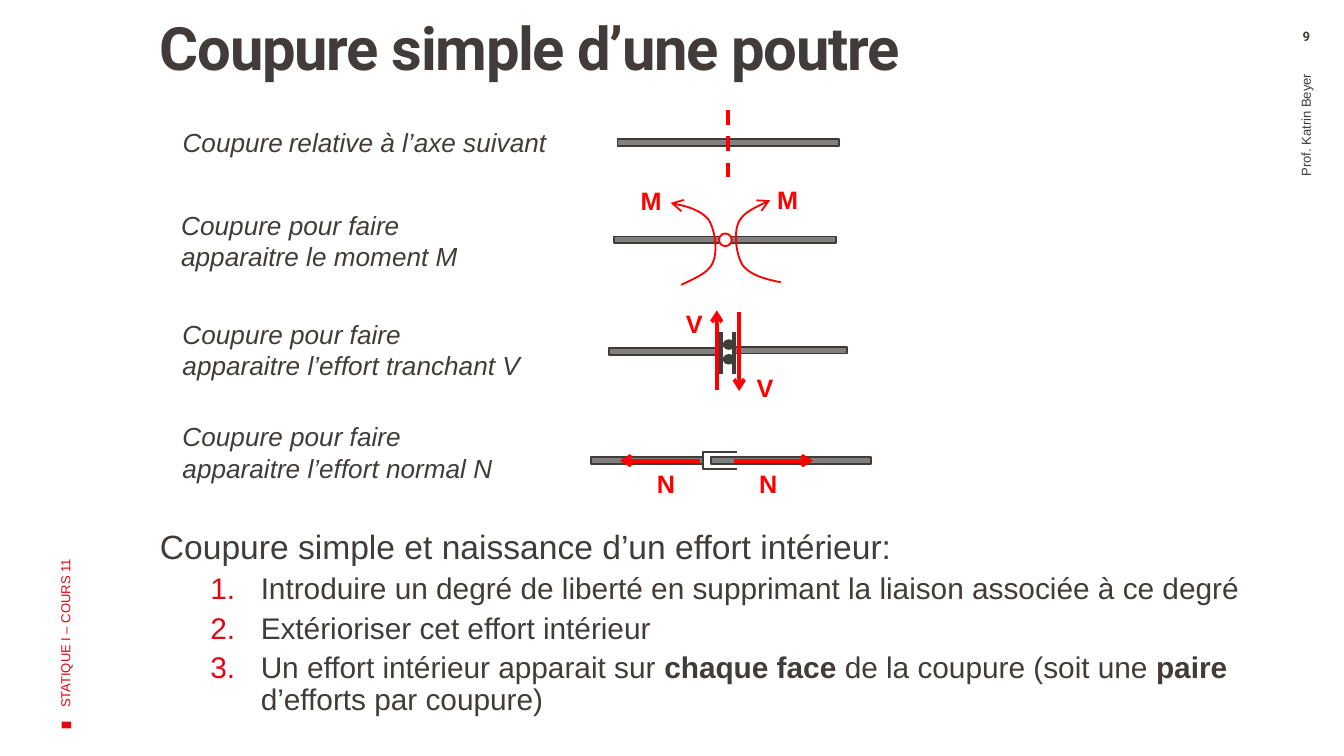
from lxml import etree
from pptx import Presentation
from pptx.dml.color import RGBColor
from pptx.enum.dml import MSO_LINE
from pptx.enum.shapes import MSO_CONNECTOR, MSO_SHAPE
from pptx.enum.text import MSO_ANCHOR, PP_ALIGN
from pptx.oxml.ns import qn
from pptx.util import Pt

DASH = MSO_LINE.DASH
STRAIGHT = MSO_CONNECTOR.STRAIGHT
RECTANGLE, OVAL = MSO_SHAPE.RECTANGLE, MSO_SHAPE.OVAL
TOP, MIDDLE = MSO_ANCHOR.TOP, MSO_ANCHOR.MIDDLE
LEFT, CENTER, RIGHT = PP_ALIGN.LEFT, PP_ALIGN.CENTER, PP_ALIGN.RIGHT

INK, GRAY, WHITE = "413C3A", "808080", "FFFFFF"
RED, BRAND_RED = "FF0000", "E30613"
BAR_HEIGHT = 3.6
INSETS = (7.2, 3.6, 7.2, 3.6)

# Start point, then control, control, end for each curve piece
MOMENT_CURVE = [(359.3, 108.7),
                (367.2, 110.2), (375.1, 112.3), (379.4, 117.4),
                (383, 122.4), (384.5, 133.9), (382.3, 139.7),
                (380.2, 146.2), (372.2, 149), (365, 152.6)]
MOMENT_SUM = (777.6, 259.9)  # each point plus its half-turn twin

STEPS = [
    [("Introduire un degré de liberté en supprimant la liaison associée à ce degré", False)],
    [("Extérioriser cet effort intérieur", False)],
    [("Un effort intérieur apparait sur ", False), ("chaque face ", True),
     ("de la coupure (soit une ", False), ("paire ", True),
     ("d’efforts par coupure)", False)],
]
LABELS = [
    (90, 108.7, "Coupure pour faire apparaitre le moment M"),
    (90.7, 167, "Coupure pour faire apparaitre l’effort tranchant V"),
    (90.7, 221.8, "Coupure pour faire apparaitre l’effort normal N"),
]


def color(value):
    return RGBColor.from_string(value)


def add_span(para, text, size, ink=INK, font="Arial", bold=False, italic=False):
    span = para.add_run()
    span.text = text
    span.font.name, span.font.size = font, Pt(size)
    span.font.bold, span.font.italic = bold, italic
    span.font.color.rgb = color(ink)
    return span


def add_box(shapes, left, top, width, height, insets=INSETS, anchor=TOP,
            align=LEFT, wrap=True, rotation=0):
    box = shapes.add_textbox(Pt(left), Pt(top), Pt(width), Pt(height))
    box.rotation = rotation
    frame = box.text_frame
    frame.word_wrap, frame.vertical_anchor = wrap, anchor
    (frame.margin_left, frame.margin_top,
     frame.margin_right, frame.margin_bottom) = map(Pt, insets)
    frame.paragraphs[0].alignment = align
    return frame


def add_force_label(shapes, left, top, letter):
    frame = add_box(shapes, left, top, 28, 28.8, anchor=MIDDLE, wrap=False)
    add_span(frame.paragraphs[0], letter, 13.5, RED, bold=True)


def add_solid(shapes, kind, left, top, width, height, fill, line=None):
    shape = shapes.add_shape(kind, Pt(left), Pt(top), Pt(width), Pt(height))
    shape.shadow.inherit = False
    shape.fill.solid()
    shape.fill.fore_color.rgb = color(fill)
    if line:
        style_line(shape, line, 1)
    else:
        shape.line.fill.background()
    return shape


def add_bar(shapes, left, top, width):
    add_solid(shapes, RECTANGLE, left, top, width, BAR_HEIGHT, GRAY, INK)


def style_line(shape, ink, width, arrow=False):
    shape.line.color.rgb = color(ink)
    shape.line.width = Pt(width)
    if arrow:
        etree.SubElement(shape.line._get_or_add_ln(), qn("a:tailEnd"), type="arrow")


def add_line(shapes, start, end, ink=RED, arrow=False, dash=None):
    line = shapes.add_connector(STRAIGHT, *map(Pt, start + end))
    style_line(line, ink, 2, arrow)
    if dash:
        line.line.dash_style = dash
    etree.SubElement(line._element.spPr, qn("a:effectLst"))


def add_outline(shapes, points, ink, arrow=False):
    corners = [(Pt(x), Pt(y)) for x, y in points]
    builder = shapes.build_freeform(*corners[0])
    builder.add_line_segments(corners[1:], close=False)
    outline = builder.convert_to_shape()
    outline.shadow.inherit = False
    outline.fill.background()
    style_line(outline, ink, 1, arrow)


def curve_points(knots, steps=12):
    points = [knots[0]]
    for first in range(0, len(knots) - 1, 3):
        for step in range(1, steps + 1):
            t = step / steps
            weights = ((1 - t) ** 3, 3 * t * (1 - t) ** 2, 3 * t * t * (1 - t), t ** 3)
            piece = knots[first:first + 4]
            points.append(tuple(sum(w * knot[axis] for w, knot in zip(weights, piece))
                                for axis in (0, 1)))
    return points


def add_number(para):
    props = para._p.get_or_add_pPr()
    props.set("marL", str(Pt(54)))
    props.set("indent", str(Pt(-27)))
    tint = etree.SubElement(props, qn("a:buClr"))
    etree.SubElement(tint, qn("a:srgbClr"), val=BRAND_RED)
    etree.SubElement(props, qn("a:buFont"), typeface="+mj-lt")
    etree.SubElement(props, qn("a:buAutoNum"), type="arabicPeriod")


def add_texts(shapes):
    # Title
    title = add_box(shapes, 71.3, 10.1, 552, 84, (14.4, 0, 5.8, 3.6)).paragraphs[0]
    title.line_spacing = 0.9
    span = add_span(title, "Coupure simple d’une poutre", 32, font="Roboto", bold=True)
    span.font._element.set("spc", "-70")

    # Numbered steps
    body = add_box(shapes, 71.3, 280.8, 608.4, 118.8, (14.4, 3.6, 7.2, 3.6))
    intro = body.paragraphs[0]
    intro.line_spacing = 0.9
    add_span(intro, "Coupure simple et naissance d’un effort intérieur:", 18)
    for step in STEPS:
        para = body.add_paragraph()
        add_number(para)
        para.line_spacing, para.space_before = 0.9, Pt(3.8)
        for text, bold in step:
            add_span(para, text, 16, bold=bold)

    # Labels of the cuts
    axis = add_box(shapes, 90.7, 64.1, 210.2, 24.5, wrap=False).paragraphs[0]
    for text, size in (("Coupure", 14), (" ", 11), ("relative à l’axe suivant", 14)):
        add_span(axis, text, size, italic=True)
    for left, top, text in LABELS:
        label = add_box(shapes, left, top, 197.3, 41)
        add_span(label.paragraphs[0], text, 14, italic=True)


def add_margins(shapes):
    # Course name, author and page number
    marker = add_solid(shapes, RECTANGLE, 33.8, 385.9, 3.6, 5, BRAND_RED)
    marker.rotation = 270
    course = add_box(shapes, -96.5, 218.9, 262.8, 72, anchor=MIDDLE, rotation=270)
    add_span(course.paragraphs[0], "STATIQUE I – COURS 11", 7, BRAND_RED)
    author = add_box(shapes, 560.2, 147.6, 278.6, 40.3, (7.2, 3.6, 11.1, 3.6),
                     MIDDLE, RIGHT, rotation=270)
    add_span(author.paragraphs[0], "Prof. Katrin Beyer", 7)
    number = add_box(shapes, 679.7, 15.1, 40.3, 13, (7.2, 0, 7.2, 0), align=CENTER)
    add_span(number.paragraphs[0], "9", 7, font="Roboto", bold=True)


def add_axis_cut(shapes):
    add_bar(shapes, 330.8, 74.5, 118.8)
    add_line(shapes, (390.2, 59), (390.2, 95), dash=DASH)


def add_moment_cut(shapes):
    add_bar(shapes, 329, 126.7, 118.8)
    add_solid(shapes, OVAL, 385.2, 125.1, 6.8, 6.8, WHITE, RED)
    left_curve = curve_points(MOMENT_CURVE)
    right_curve = [(MOMENT_SUM[0] - x, MOMENT_SUM[1] - y) for x, y in left_curve]
    add_outline(shapes, left_curve[::-1], RED, arrow=True)
    add_outline(shapes, right_curve, RED, arrow=True)
    add_force_label(shapes, 336.2, 93, "M")
    add_force_label(shapes, 409.2, 92.3, "M")


def add_shear_cut(shapes):
    add_bar(shapes, 326.2, 186.5, 59.8)
    add_bar(shapes, 393.8, 185.8, 59.8)
    for top in (181.8, 189.7):
        add_solid(shapes, OVAL, 387.2, top, 6.5, 5.6, INK)
    for x in (386.2, 393.1):
        add_line(shapes, (x, 177.8), (x, 200.2), INK)
    add_line(shapes, (384, 208.8), (384, 166.3), arrow=True)
    add_line(shapes, (396, 167), (396, 209.5), arrow=True)
    add_force_label(shapes, 360.3, 159.1, "V")
    add_force_label(shapes, 398.2, 193, "V")


def add_normal_cut(shapes):
    add_bar(shapes, 380.9, 244.8, 85.7)
    add_outline(shapes, [(394.9, 242.2), (376.6, 242.2), (376.6, 251.1), (394.9, 251.1)], INK)
    add_bar(shapes, 316.8, 244.8, 59.8)
    for start, end in ((393.1, 435.6), (375.1, 332)):
        add_line(shapes, (start, 246.8), (end, 246.8), arrow=True)
    for left in (399.6, 344.9):
        add_force_label(shapes, left, 244.6, "N")


def main():
    deck = Presentation()
    deck.slide_width, deck.slide_height = Pt(720), Pt(405)
    page = deck.slides.add_slide(deck.slide_layouts[6])
    add_margins(page.shapes)
    add_texts(page.shapes)
    for draw in (add_axis_cut, add_moment_cut, add_shear_cut, add_normal_cut):
        draw(page.shapes.add_group_shape().shapes)
    deck.save("out.pptx")


if __name__ == "__main__":
    main()
